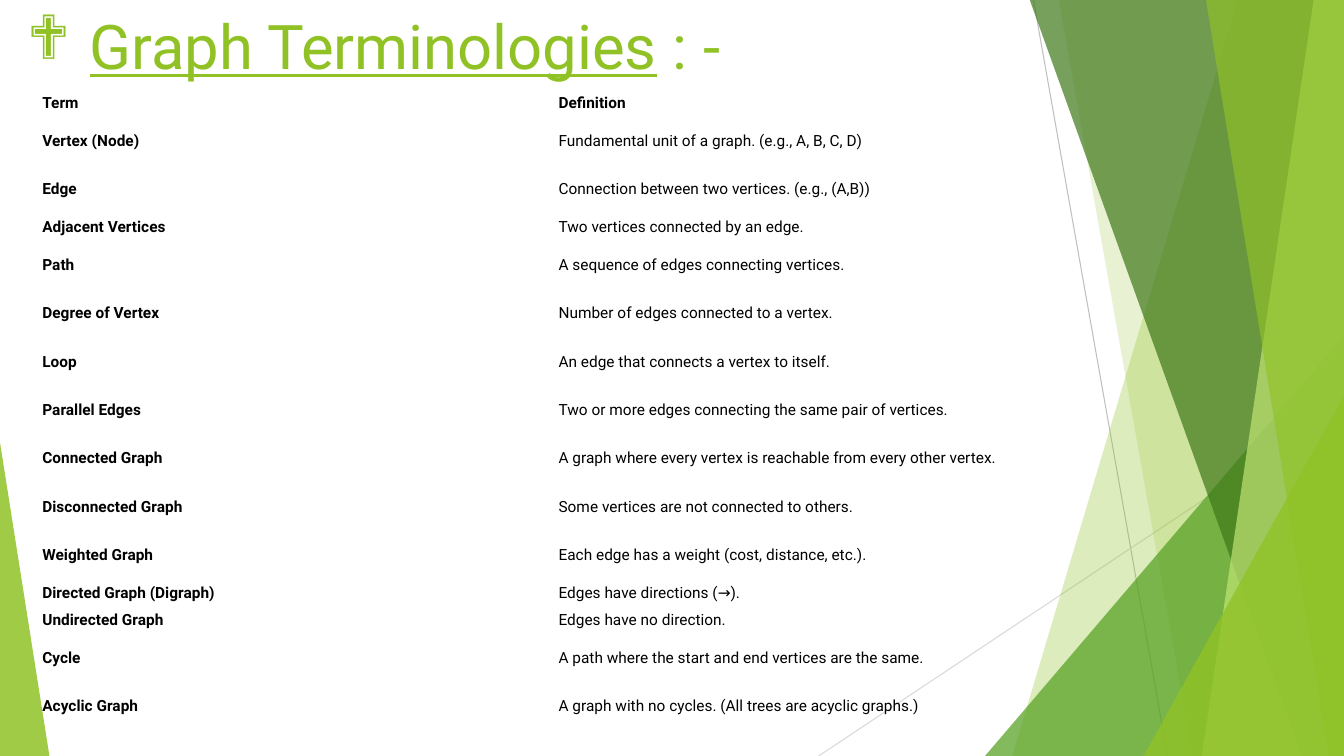
from lxml import etree
from pptx import Presentation
from pptx.dml.color import RGBColor
from pptx.enum.shapes import MSO_CONNECTOR, MSO_SHAPE
from pptx.enum.text import MSO_ANCHOR, PP_ALIGN
from pptx.oxml.ns import qn
from pptx.util import Inches, Pt

STRAIGHT = MSO_CONNECTOR.STRAIGHT
TRIANGLE = MSO_SHAPE.ISOSCELES_TRIANGLE
MIDDLE = MSO_ANCHOR.MIDDLE
LEFT = PP_ALIGN.LEFT

BLACK = RGBColor(0x00, 0x00, 0x00)
LIME = RGBColor(0x90, 0xC2, 0x26)
PALE_LIME = RGBColor(0xC0, 0xE4, 0x74)
GREEN = RGBColor(0x54, 0xA0, 0x21)
DARK_GREEN = RGBColor(0x3F, 0x78, 0x19)
GREY = RGBColor(0xBF, 0xBF, 0xBF)
LIGHT_GREY = RGBColor(0xD9, 0xD9, 0xD9)

FONT = "Roboto"
WIDTH, HEIGHT = 13.33, 7.5
NO_GRID_STYLE = "{2D5ABB26-0587-4C30-8999-92F81FD0307C}"

TITLE = [("Graph Terminologies", True), (" : -", False)]
TERMS = [
    ("Term", "Definition"),
    ("Vertex (Node)", "Fundamental unit of a graph. (e.g., A, B, C, D)"),
    ("Edge", "Connection between two vertices. (e.g., (A,B))"),
    ("Adjacent Vertices", "Two vertices connected by an edge."),
    ("Path", "A sequence of edges connecting vertices."),
    ("Degree of Vertex", "Number of edges connected to a vertex."),
    ("Loop", "An edge that connects a vertex to itself."),
    ("Parallel Edges", "Two or more edges connecting the same pair of vertices."),
    ("Connected Graph", "A graph where every vertex is reachable from every other vertex."),
    ("Disconnected Graph", "Some vertices are not connected to others."),
    ("Weighted Graph", "Each edge has a weight (cost, distance, etc.)."),
    ("Directed Graph (Digraph)", "Edges have directions (→)."),
    ("Undirected Graph", "Edges have no direction."),
    ("Cycle", "A path where the start and end vertices are the same."),
    ("Acyclic Graph", "A graph with no cycles. (All trees are acyclic graphs.)"),
]
SHORT_ROWS = {"Term", "Adjacent Vertices", "Directed Graph (Digraph)", "Undirected Graph"}
SHORT_HEIGHT, TALL_HEIGHT = 0.27, 0.48
COLUMN_WIDTH = 5.12

HAIRLINES = [
    ((10.25, 0), (11.58, HEIGHT), GREY),
    ((WIDTH, 4.03), (8.12, HEIGHT), LIGHT_GREY),
]
# kind, horizontal pair, top, tip, colour, opacity
FACETS = [
    ("band", 12.28, 10.04, LIME, 30),
    ("band", 10.5, 11.83, LIME, 20),
    ("right corner", 9.77, 3.33, GREEN, 72),
    ("band", 10.21, 12.91, DARK_GREEN, 70),
    ("band", 13.03, 11.92, PALE_LIME, 70),
    ("band", 11.96, 13.18, LIME, 65),
    ("right corner", 11.34, 3.93, LIME, 80),
    ("left corner", 0.49, 4.39, LIME, 85),
]


def add_hairline(slide, start, end, color):
    line = slide.shapes.add_connector(STRAIGHT, *(Inches(value) for value in start + end))
    line.line.color.rgb = color
    line.line.width = Pt(0.75)
    etree.SubElement(line._element.spPr, qn("a:effectLst"))


def add_band(slide, top_x, bottom_x):
    corners = [(top_x, -0.01), (WIDTH, -0.01), (WIDTH, HEIGHT), (bottom_x, HEIGHT)]
    points = [(Inches(x), Inches(y)) for x, y in corners]
    builder = slide.shapes.build_freeform(*points[0], scale=1.0)
    builder.add_line_segments(points[1:], close=True)
    return builder.convert_to_shape()


def add_corner(slide, left, right, top, tip):
    shape = slide.shapes.add_shape(
        TRIANGLE, Inches(left), Inches(top), Inches(right - left), Inches(HEIGHT - top))
    shape.adjustments[0] = tip
    return shape


def add_facet(slide, kind, first, second, color, opacity):
    if kind == "band":
        shape = add_band(slide, first, second)
    elif kind == "right corner":
        shape = add_corner(slide, first, WIDTH, second, 1)
    else:
        shape = add_corner(slide, 0, first, second, 0)
    shape.shadow.inherit = False
    shape.line.fill.background()
    shape.fill.solid()
    shape.fill.fore_color.rgb = color
    color_element = shape._element.spPr.find(qn("a:solidFill"))[0]
    etree.SubElement(color_element, qn("a:alpha"), val=str(opacity * 1000))


def add_run(paragraph, text, size, color):
    run = paragraph.add_run()
    run.text = text
    run.font.name = FONT
    run.font.size = Pt(size)
    run.font.color.rgb = color
    return run


def add_title(slide):
    box = slide.shapes.add_textbox(Inches(0.17), 0, Inches(9.4), Inches(0.89))
    frame = box.text_frame
    frame.word_wrap = True
    frame.vertical_anchor = MIDDLE
    paragraph = frame.paragraphs[0]
    paragraph.alignment = LEFT
    properties = paragraph._p.get_or_add_pPr()
    properties.set("marL", str(Inches(0.62)))
    properties.set("indent", str(-Inches(0.62)))
    etree.SubElement(properties, qn("a:buFont"), typeface="Wingdings")
    etree.SubElement(properties, qn("a:buChar"), char="❖")
    for text, underlined in TITLE:
        add_run(paragraph, text, 44, LIME).font.underline = underlined


def add_terms(slide):
    heights = [SHORT_HEIGHT if term in SHORT_ROWS else TALL_HEIGHT for term, _ in TERMS]
    table_frame = slide.shapes.add_table(
        len(TERMS), 2, Inches(0.37), Inches(0.89),
        Inches(2 * COLUMN_WIDTH), Inches(sum(heights)))
    table = table_frame.table
    table._tbl.tblPr.find(qn("a:tableStyleId")).text = NO_GRID_STYLE
    table.first_row = False
    table.horz_banding = False
    for column in table.columns:
        column.width = Inches(COLUMN_WIDTH)
    for row_index, (texts, height) in enumerate(zip(TERMS, heights)):
        table.rows[row_index].height = Inches(height)
        for column_index, text in enumerate(texts):
            cell = table.cell(row_index, column_index)
            cell.fill.background()
            cell.vertical_anchor = MIDDLE
            cell.margin_left = cell.margin_right = Inches(0.05)
            cell.margin_top = cell.margin_bottom = Inches(0.02)
            run = add_run(cell.text_frame.paragraphs[0], text, 11, BLACK)
            run.font.bold = row_index == 0 or column_index == 0


def main():
    presentation = Presentation()
    presentation.slide_width = Inches(WIDTH)
    presentation.slide_height = Inches(HEIGHT)
    slide = presentation.slides.add_slide(presentation.slide_layouts[6])
    for start, end, color in HAIRLINES:
        add_hairline(slide, start, end, color)
    for facet in FACETS:
        add_facet(slide, *facet)
    add_title(slide)
    add_terms(slide)
    presentation.save("out.pptx")


if __name__ == "__main__":
    main()
